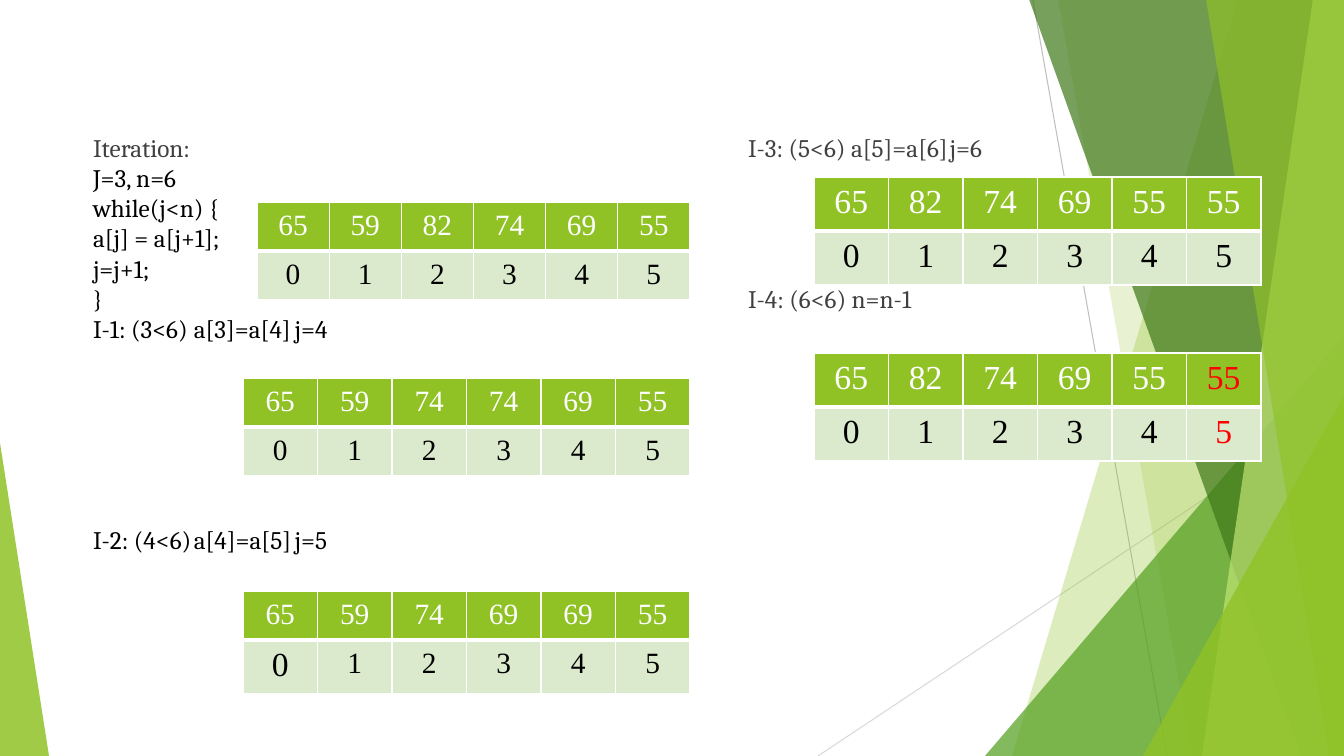
from dataclasses import dataclass
from typing import Any

from lxml.etree import SubElement
from pptx import Presentation
from pptx.dml.color import RGBColor
from pptx.enum.shapes import MSO_CONNECTOR, MSO_SHAPE
from pptx.enum.text import MSO_ANCHOR, MSO_AUTO_SIZE, PP_ALIGN
from pptx.oxml.ns import qn
from pptx.util import Emu, Pt

SCALE = 914400 / 100.8
WIDTH, HEIGHT = 1344, 756
GREEN, PALE, WHITE, BLACK, GREY, RED = "90C226", "DBE9CD", "FFFFFF", "000000", "404040", "FF0000"


@dataclass
class Ray:
    start: tuple[int, int]
    end: tuple[int, int]
    colour: str


@dataclass
class Band:
    top_x: int
    bottom_x: int
    colour: str
    alpha: int


@dataclass
class Wedge:
    box: tuple[int, int, int, int]
    apex: int
    colour: str
    alpha: int


@dataclass
class Line:
    text: str
    colour: str = BLACK
    gap: int = 0
    tabs: tuple[int, ...] = ()


@dataclass
class ArrayTable:
    left: int
    top: int
    width: int
    values: list[int]
    rows: tuple[int, int] = (49, 49)
    size: int = 21
    first_index_size: int = 21
    last_colour: str | None = None


RAYS = [
    Ray((1033, 0), (1167, 756), "BFBFBF"),
    Ray((1344, 406), (818, 756), "D9D9D9"),
]
FACETS = [
    Band(1238, 1012, GREEN, 30),
    Band(1058, 1192, GREEN, 20),
    Wedge((985, 336, 359, 420), 1, "54A021", 72),
    Band(1029, 1301, "3F7819", 70),
    Band(1313, 1202, "C0E474", 70),
    Band(1206, 1329, GREEN, 65),
    Wedge((1143, 396, 201, 360), 1, GREEN, 80),
    Wedge((0, 443, 49, 313), 0, GREEN, 85),
]
LEFT_STEPS = [
    Line("Iteration:", GREY),
    Line("J=3, n=6"),
    Line("while(j<n) {"),
    Line("a[j] = a[j+1];"),
    Line("j=j+1;"),
    Line("}"),
    Line("I-1: (3<6)\ta[3]=a[4]\tj=4", tabs=(105, 224)),
    Line("I-2: (4<6)\ta[4]=a[5]\tj=5", gap=181, tabs=(109, 222)),
]
RIGHT_STEPS = [
    Line("I-3: (5<6) a[5]=a[6]\tj=6", GREY, tabs=(210,)),
    Line("I-4: (6<6) n=n-1", GREY, gap=121),
]
TABLES = [
    ArrayTable(257, 202, 433, [65, 59, 82, 74, 69, 55]),
    ArrayTable(243, 378, 447, [65, 59, 74, 74, 69, 55]),
    ArrayTable(243, 591, 447, [65, 59, 74, 69, 69, 55], (49, 54), first_index_size=24),
    ArrayTable(814, 177, 447, [65, 82, 74, 69, 55, 55], (54, 54), 24, 24),
    ArrayTable(814, 353, 447, [65, 82, 74, 69, 55, 55], (54, 54), 24, 24, RED),
]


def px(value: float) -> Emu:
    return Emu(round(value * SCALE))


def rgb(colour: str) -> RGBColor:
    return RGBColor.from_string(colour)


def apply(target: Any, values: dict[str, Any]) -> None:
    for name, value in values.items():
        setattr(target, name, value)


def style_run(r: Any, font: str, size: int, colour: str) -> None:
    apply(r.font, {"name": font, "size": Pt(size), "bold": False})
    r.font.color.rgb = rgb(colour)


def draw_ray(shapes: Any, ray: Ray) -> None:
    line = shapes.add_connector(MSO_CONNECTOR.STRAIGHT, *map(px, ray.start + ray.end))
    line.line.color.rgb = rgb(ray.colour)
    line.line.width = Pt(0.75)
    SubElement(line.element.spPr, qn("a:effectLst"))


def draw_facet(shapes: Any, facet: Band | Wedge) -> None:
    if isinstance(facet, Band):
        outline = shapes.build_freeform(facet.top_x, -1, scale=SCALE)
        outline.add_line_segments([(WIDTH, -1), (WIDTH, HEIGHT), (facet.bottom_x, HEIGHT)])
        sp = outline.convert_to_shape()
    else:
        sp = shapes.add_shape(MSO_SHAPE.ISOSCELES_TRIANGLE, *map(px, facet.box))
        sp.adjustments[0] = facet.apex
    sp.shadow.inherit = False
    sp.fill.solid()
    sp.fill.fore_color.rgb = rgb(facet.colour)
    sp.line.fill.background()
    colour = sp.element.spPr.find(".//" + qn("a:srgbClr"))
    SubElement(colour, qn("a:alpha"), val=str(facet.alpha * 1000))


def fill_body(sp: Any, box: tuple[int, int, int, int], lines: list[Line]) -> None:
    apply(sp, dict(zip(("left", "top", "width", "height"), map(px, box))))
    tf = sp.text_frame
    apply(tf, {"word_wrap": True, "auto_size": MSO_AUTO_SIZE.NONE, "vertical_anchor": MSO_ANCHOR.TOP})
    for i, line in enumerate(lines):
        p = tf.add_paragraph() if i else tf.paragraphs[0]
        apply(p, {"space_before": px(line.gap), "space_after": Pt(0), "alignment": PP_ALIGN.LEFT})
        pPr = p._p.get_or_add_pPr()
        pPr.set("marL", "0")
        pPr.set("indent", "0")
        SubElement(pPr, qn("a:buNone"))
        if line.tabs:
            stops = SubElement(pPr, qn("a:tabLst"))
            for stop in line.tabs:
                SubElement(stops, qn("a:tab"), pos=str(px(stop)), algn="l")
        r = p.add_run()
        r.text = line.text
        style_run(r, "Cambria", 18, line.colour)


def style_cell(cell: Any, fill: str, bottom: int) -> None:
    apply(cell, {"margin_left": px(13), "margin_right": px(13), "margin_top": px(7), "margin_bottom": px(7)})
    tcPr = cell._tc.get_or_add_tcPr()
    for side, width in {"L": 1, "R": 1, "T": 1, "B": bottom}.items():
        border = SubElement(tcPr, qn(f"a:ln{side}"), w=str(Pt(width)))
        SubElement(SubElement(border, qn("a:solidFill")), qn("a:srgbClr"), val=WHITE)
    cell.fill.solid()
    cell.fill.fore_color.rgb = rgb(fill)


def draw_table(shapes: Any, spec: ArrayTable) -> None:
    count = len(spec.values)
    box = (spec.left, spec.top, spec.width, sum(spec.rows))
    table = shapes.add_table(2, count, *map(px, box)).table
    table.horz_banding = False
    for column in table.columns:
        column.width = px(spec.width / count)
    styles = [(spec.values, GREEN, WHITE, 3), (range(count), PALE, BLACK, 1)]
    for row, (numbers, fill, colour, bottom) in enumerate(styles):
        table.rows[row].height = px(spec.rows[row])
        for col, number in enumerate(numbers):
            cell = table.cell(row, col)
            style_cell(cell, fill, bottom)
            p = cell.text_frame.paragraphs[0]
            p.alignment = PP_ALIGN.CENTER
            r = p.add_run()
            r.text = str(number)
            size = spec.first_index_size if row == 1 and col == 0 else spec.size
            marked = spec.last_colour if col == count - 1 else None
            style_run(r, "Times New Roman", size, marked or colour)


prs = Presentation()
apply(prs, {"slide_width": px(WIDTH), "slide_height": px(HEIGHT)})
s = prs.slides.add_slide(prs.slide_layouts[3])
title, left_body, right_body = s.placeholders
s.shapes.element.remove(title.element)

backdrop = s.shapes.add_group_shape().shapes
for ray in RAYS:
    draw_ray(backdrop, ray)
for facet in FACETS:
    draw_facet(backdrop, facet)

for body, box, lines in (
    (left_body, (83, 127, 672, 591), LEFT_STEPS),
    (right_body, (738, 127, 672, 346), RIGHT_STEPS),
):
    s.shapes.element.append(body.element)
    fill_body(body, box, lines)

for array in TABLES:
    draw_table(s.shapes, array)

prs.save("out.pptx")
